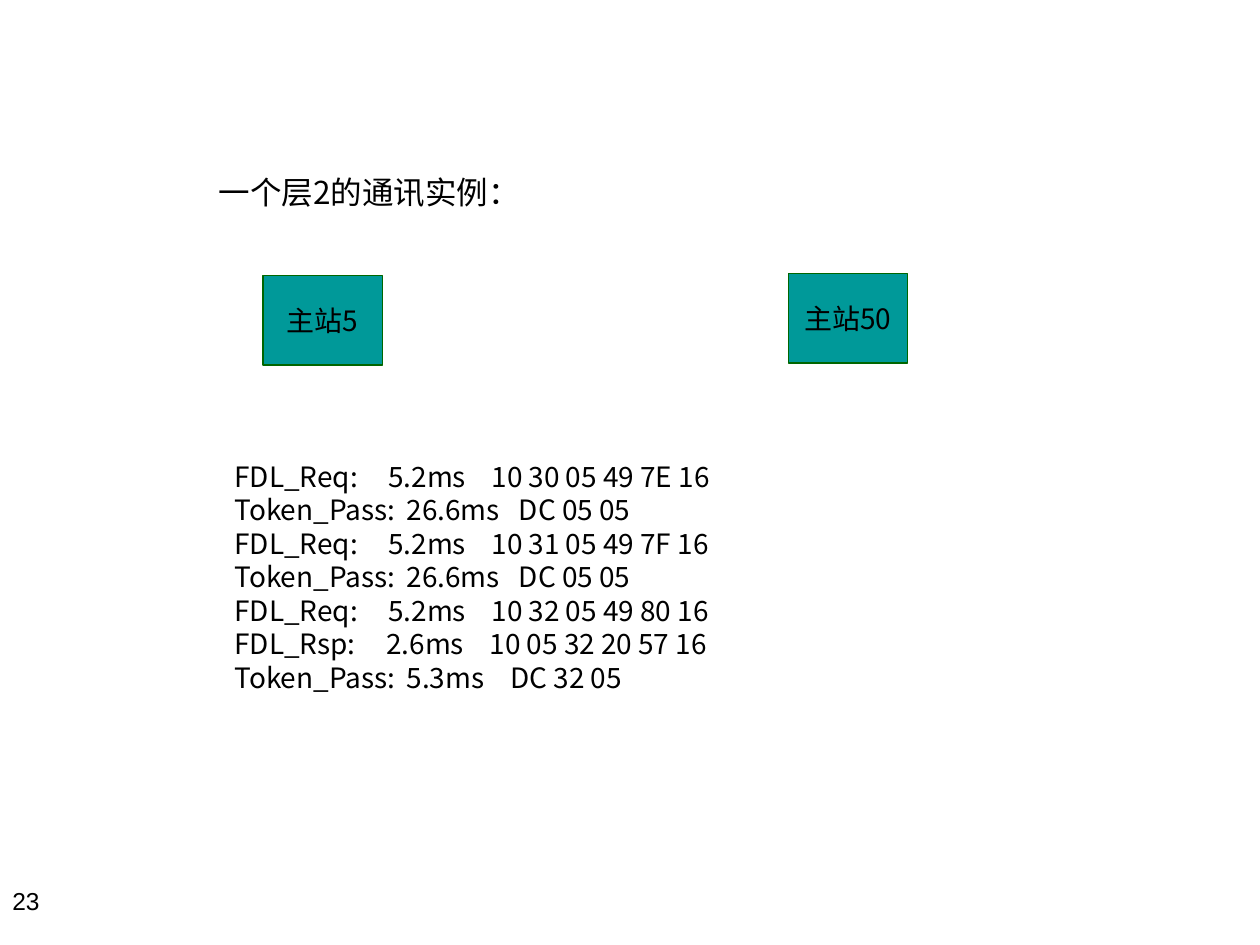
"""Build a slide that shows a layer 2 communication trace between two masters."""
from dataclasses import dataclass

from pptx import Presentation
from pptx.dml.color import RGBColor
from pptx.enum.shapes import MSO_SHAPE
from pptx.enum.text import MSO_ANCHOR, MSO_AUTO_SIZE, PP_ALIGN
from pptx.oxml.ns import qn
from pptx.util import Cm, Pt
from lxml.etree import SubElement


@dataclass(frozen=True)
class Theme:
    text: RGBColor = RGBColor(0x00, 0x00, 0x00)
    station: RGBColor = RGBColor(0x00, 0x99, 0x99)
    border: RGBColor = RGBColor(0x00, 0x66, 0x00)
    font: str = "Noto Sans CJK SC"
    number_font: str = "Arial"
    title_size: int = 18
    body_size: int = 16
    number_size: int = 14


theme = Theme()


def format_text(tf, size, font, align, anchor, wrap=True):
    tf.word_wrap = wrap
    tf.auto_size = MSO_AUTO_SIZE.NONE
    tf.vertical_anchor = anchor
    for p in tf.paragraphs:
        p.alignment = align
        for r in p.runs:
            r.font.size = Pt(size)
            r.font.name = font
            r.font.color.rgb = theme.text
            SubElement(r.font._element, qn("a:ea"), typeface=font)


prs = Presentation()
prs.slide_width, prs.slide_height = Cm(25.4), Cm(19.05)
s = prs.slides.add_slide(prs.slide_layouts[5])

title = s.shapes.title
title.left, title.top, title.width, title.height = Cm(4.15), Cm(3.35), Cm(5.95), Cm(1.02)
title.text_frame.text = "一个层2的通讯实例："
format_text(title.text_frame, theme.title_size, theme.font, PP_ALIGN.CENTER, MSO_ANCHOR.MIDDLE)

for name, left, top in [("主站5", 5.3, 5.56), ("主站50", 15.89, 5.52)]:
    sp = s.shapes.add_shape(MSO_SHAPE.RECTANGLE, Cm(left), Cm(top), Cm(2.41), Cm(1.8))
    sp.shadow.inherit = False
    sp.fill.solid()
    sp.fill.fore_color.rgb = theme.station
    sp.line.color.rgb = theme.border
    sp.line.width = Pt(0.75)
    sp.text_frame.text = name
    format_text(sp.text_frame, theme.body_size, theme.font, PP_ALIGN.CENTER, MSO_ANCHOR.MIDDLE, False)

telegrams = [
    ("FDL_Req:", "5.2ms", "10 30 05 49 7E 16", 3.1, 5.18),
    ("Token_Pass:", "26.6ms", "DC 05 05", 3.47, 5.73),
    ("FDL_Req:", "5.2ms", "10 31 05 49 7F 16", 3.1, 5.18),
    ("Token_Pass:", "26.6ms", "DC 05 05", 3.47, 5.73),
    ("FDL_Req:", "5.2ms", "10 32 05 49 80 16", 3.1, 5.18),
    ("FDL_Rsp:", "2.6ms", "10 05 32 20 57 16", 3.06, 5.14),
    ("Token_Pass:", "5.3ms", "DC 32 05", 3.47, 5.56),
]
trace = s.shapes.add_textbox(Cm(4.48), Cm(9.13), Cm(10.21), Cm(5.69))
tf = trace.text_frame
tf.text = "\n".join("\t".join(telegram[:3]) for telegram in telegrams)
for p, telegram in zip(tf.paragraphs, telegrams):
    tabs = SubElement(p._p.get_or_add_pPr(), qn("a:tabLst"))
    for stop in telegram[3:]:
        SubElement(tabs, qn("a:tab"), pos=str(int(Cm(stop))), algn="l")
format_text(tf, theme.body_size, theme.font, PP_ALIGN.LEFT, MSO_ANCHOR.TOP)

number = s.shapes.add_textbox(Cm(0), Cm(17.73), Cm(5.92), Cm(1.32))
number.text_frame.text = "23"
format_text(number.text_frame, theme.number_size, theme.number_font, PP_ALIGN.LEFT, MSO_ANCHOR.TOP)

prs.save("out.pptx")
